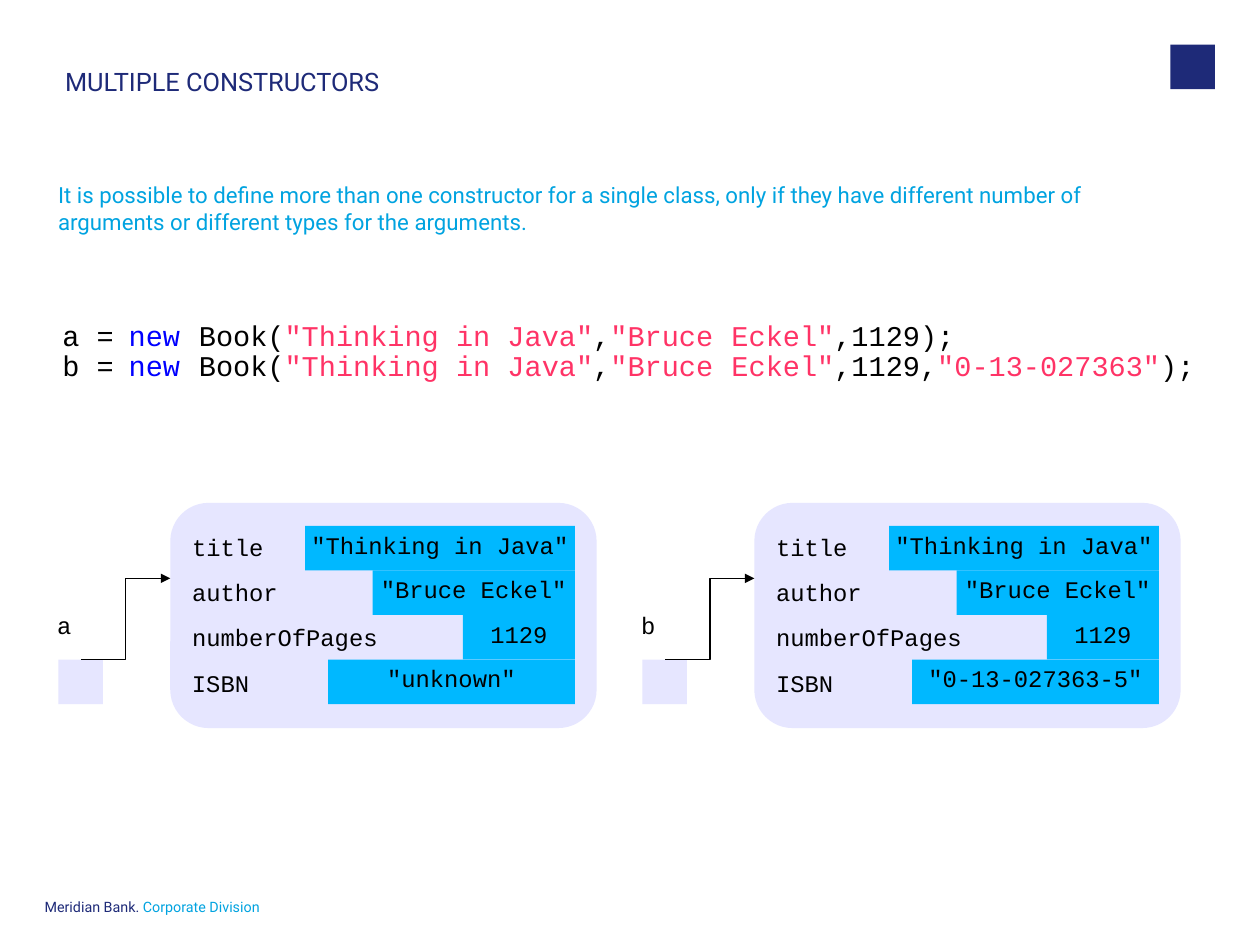
from lxml import etree
from pptx import Presentation
from pptx.dml.color import RGBColor
from pptx.enum.shapes import MSO_CONNECTOR, MSO_SHAPE
from pptx.enum.text import MSO_ANCHOR, PP_ALIGN
from pptx.oxml.ns import qn
from pptx.util import Cm, Inches, Pt

NAVY, CYAN, BLACK = "1E2A78", "00A3E0", "000000"
LAVENDER, SKY, BLUE, PINK = "E6E6FF", "00B8FF", "0000FF", "FF3366"
NO_STYLE_NO_GRID = "{2D5ABB26-0587-4C30-8999-92F81FD0307C}"

deck = Presentation()
deck.slide_width, deck.slide_height = Cm(28), Cm(21)
page = deck.slides.add_slide(deck.slide_layouts[6])


def write(frame, spans, size, font="Courier New", align=PP_ALIGN.LEFT, spacing=None,
          insets=(0, 0, 0, 0), wrap=True):
    """Fill a text frame with one paragraph of (text, colour) spans."""
    frame.word_wrap = wrap
    frame.vertical_anchor = MSO_ANCHOR.TOP
    (frame.margin_left, frame.margin_top,
     frame.margin_right, frame.margin_bottom) = map(Inches, insets)
    para = frame.paragraphs[0]
    para.alignment = align
    para.line_spacing = spacing
    for text, colour in spans:
        span = para.add_run()
        span.text = text
        span.font.name = font
        span.font.size = Pt(size)
        span.font.color.rgb = RGBColor.from_string(colour)


def add_block(kind, left, top, width, height, colour):
    block = page.shapes.add_shape(kind, Inches(left), Inches(top), Inches(width), Inches(height))
    block.shadow.inherit = False
    block.fill.solid()
    block.fill.fore_color.rgb = RGBColor.from_string(colour)
    block.line.fill.background()
    return block


# Page frame, title and introduction
add_block(MSO_SHAPE.RECTANGLE, 10.24, 0.39, 0.39, 0.39, NAVY)

intro = ("It is possible to define more than one constructor for a single class, "
         "only if they have different number of arguments or different types for the arguments.")
for place, spans, style in [
    ((0.39, 7.88, 2.19, 0.2), [("Meridian Bank. ", NAVY), ("Corporate Division", CYAN)],
     dict(size=9, spacing=Pt(9))),
    ((0.57, 0.61, 9.47, 0.61), [("MULTIPLE CONSTRUCTORS", NAVY)], dict(size=16, spacing=0.9)),
    ((0.41, 1.54, 9.8, 2.42), [(intro, CYAN)], dict(size=14, insets=(0.1, 0.05, 0.1, 0.05))),
]:
    box = page.shapes.add_textbox(*map(Inches, place))
    write(box.text_frame, spans, font="Roboto", **style)

# Constructor calls
call_start = [("Book(", BLACK), ('"Thinking in Java"', PINK), (",", BLACK), ('"Bruce', PINK)]
call_ends = {
    "a": [('Eckel"', PINK), (",1129);", BLACK)],
    "b": [('Eckel"', PINK), (",1129,", BLACK), ('"0-13-027363"', PINK), (");", BLACK)],
}
calls = page.shapes.add_table(2, 4, Inches(0.49), Inches(2.86), Inches(10.03), Inches(0.52)).table
calls.first_row = calls.horz_banding = False
calls._tbl.tblPr.find(qn("a:tableStyleId")).text = NO_STYLE_NO_GRID
for column, width in zip(calls.columns, (0.56, 0.6, 4.68, 4.19)):
    column.width = Inches(width)
for row, (variable, call_end) in enumerate(call_ends.items()):
    calls.rows[row].height = Inches(0.26)
    parts = [[(f"{variable} =", BLACK)], [("new", BLUE)], call_start, call_end]
    for column, spans in enumerate(parts):
        cell = calls.cell(row, column)
        cell.fill.background()
        cell.margin_left = Inches(0.07 if column == 3 else 0)
        cell.margin_top = cell.margin_right = cell.margin_bottom = 0
        write(cell.text_frame, spans, 18, spacing=Pt(18),
              align=PP_ALIGN.LEFT if column == 3 else PP_ALIGN.CENTER)

# The two objects in memory
ROW = 0.39
VALUE_WIDTHS = [2.36, 1.77, 0.98, 2.16]
for number, (variable, isbn) in enumerate([("a", '"unknown"'), ("b", '"0-13-027363-5"')]):
    shift = 5.11 * number
    card = add_block(MSO_SHAPE.ROUNDED_RECTANGLE, shift + 1.49, 4.4, 3.73, 1.97, LAVENDER)
    card.adjustments[0] = 0.17
    add_block(MSO_SHAPE.RECTANGLE, shift + 0.51, 5.77, ROW, ROW, LAVENDER)

    values = ['"Thinking in Java"', '"Bruce Eckel"', "1129", isbn]
    for row, (value, width) in enumerate(zip(values, VALUE_WIDTHS)):
        block = add_block(MSO_SHAPE.RECTANGLE, shift + 5.03 - width, 4.6 + ROW * row,
                          width, ROW, SKY)
        write(block.text_frame, [(value, BLACK)], 15, align=PP_ALIGN.CENTER,
              insets=(0, 0.04, 0, 0), wrap=False)

    for text, left, top, width, height, spacing in [
        (variable, 0.49, 5.33, 0.15, 0.28, None),
        ("title author", 1.67, 4.51, 0.78, 0.82, 1.57),
        ("numberOfPages", 1.67, 5.44, 1.65, 0.28, None),
        ("ISBN", 1.67, 5.84, 0.53, 0.28, None),
    ]:
        box = page.shapes.add_textbox(Inches(shift + left), Inches(top),
                                      Inches(width), Inches(height))
        write(box.text_frame, [(text, BLACK)], 15, spacing=spacing, insets=(0.01, 0.01, 0, 0))

    arrow = page.shapes.add_connector(MSO_CONNECTOR.ELBOW, Inches(shift + 0.71), Inches(5.77),
                                      Inches(shift + 1.49), Inches(5.06))
    arrow.line.color.rgb = RGBColor.from_string(BLACK)
    arrow.line.width = Pt(1)
    etree.SubElement(arrow.line._get_or_add_ln(), qn("a:tailEnd"), type="triangle")
    etree.SubElement(arrow._element.spPr, qn("a:effectLst"))

deck.save("out.pptx")
